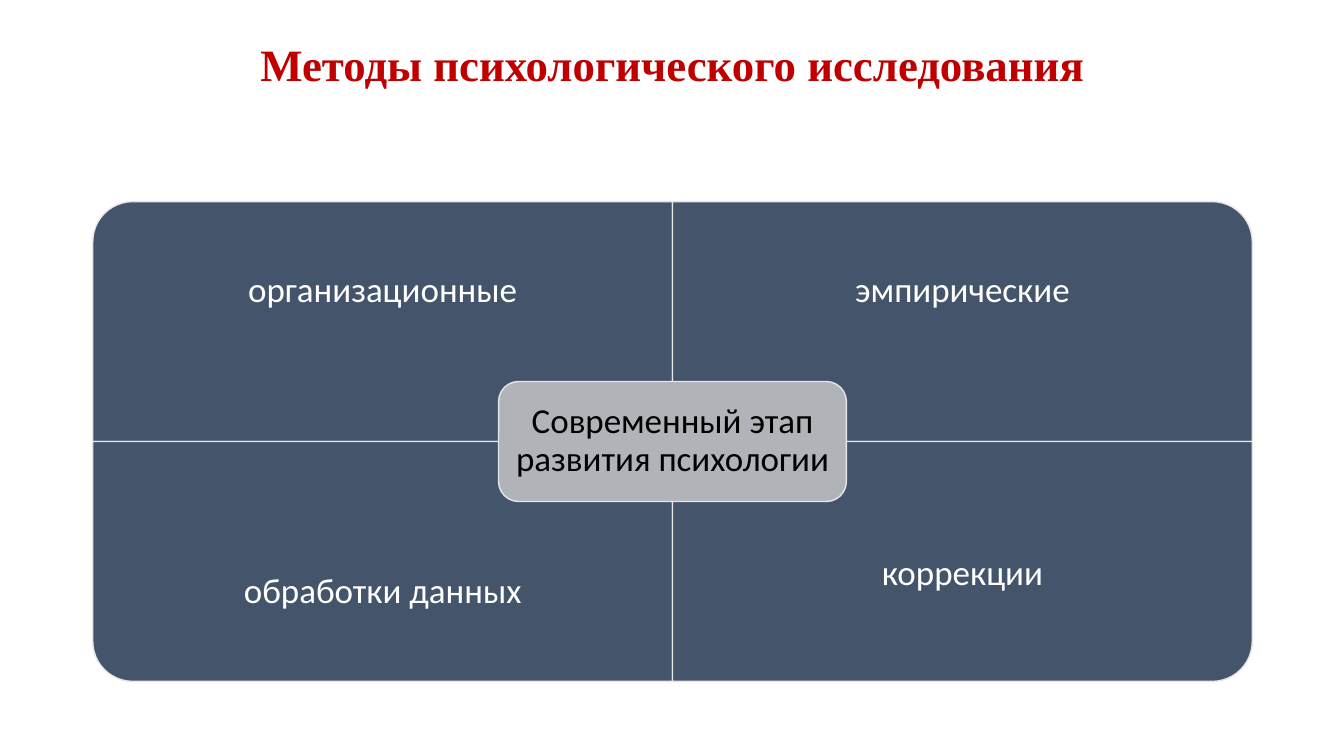
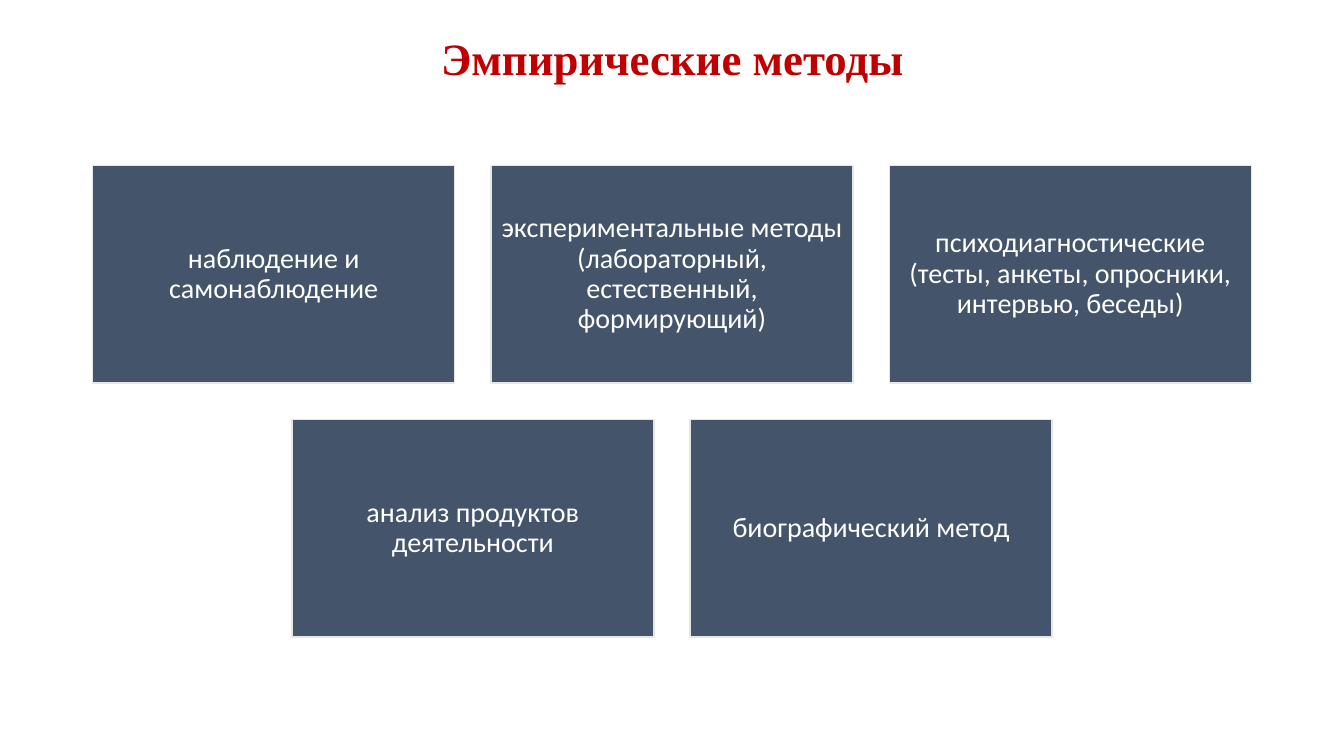
from pptx import Presentation
from pptx.dml.color import RGBColor
from pptx.enum.shapes import MSO_SHAPE
from pptx.enum.text import MSO_ANCHOR, PP_ALIGN
from pptx.util import Emu, Pt

# Shared geometry (100 px to the inch) and style
EMU_PER_PX = 9144
SLIDE_WIDTH, SLIDE_HEIGHT = 1333, 750
MARGIN, CONTENT_WIDTH = 92, 1150
TITLE_TOP = 40

TITLE_COLOR = "C00000"
PANEL_COLOR = "44546A"
CENTER_COLOR = "B0B4B9"
BORDER_COLOR = "E7E6E6"
LIGHT_TEXT, DARK_TEXT = "FFFFFF", "000000"
TITLE_FONT, BODY_FONT = "Times New Roman", "Calibri"


def px(value):
    return Emu(int(value * EMU_PER_PX))


def color(hex_string):
    return RGBColor.from_string(hex_string)


def set_text(shape, text, *, size, font=BODY_FONT, fill=LIGHT_TEXT, bold=False, inset=8):
    """Write one centred paragraph into a shape or text box."""
    frame = shape.text_frame
    frame.word_wrap = True
    frame.vertical_anchor = MSO_ANCHOR.MIDDLE
    frame.margin_left = frame.margin_right = px(inset)
    frame.margin_top = frame.margin_bottom = px(inset)
    paragraph = frame.paragraphs[0]
    paragraph.alignment = PP_ALIGN.CENTER
    paragraph.line_spacing = 0.9
    run = paragraph.add_run()
    run.text = text
    run.font.size = Pt(size)
    run.font.name = font
    run.font.bold = bold
    run.font.color.rgb = color(fill)


def add_label(slide, box, text, **text_format):
    label = slide.shapes.add_textbox(*map(px, box))
    set_text(label, text, **text_format)


def add_panel(slide, kind, box, fill=PANEL_COLOR):
    panel = slide.shapes.add_shape(kind, *map(px, box))
    panel.shadow.inherit = False
    panel.fill.solid()
    panel.fill.fore_color.rgb = color(fill)
    panel.line.color.rgb = color(BORDER_COLOR)
    panel.line.width = Pt(1)
    return panel


def add_titled_slide(presentation, title, title_height):
    slide = presentation.slides.add_slide(presentation.slide_layouts[6])
    add_label(slide, (MARGIN, TITLE_TOP, CONTENT_WIDTH, title_height), title,
              size=32, font=TITLE_FONT, fill=TITLE_COLOR, bold=True, inset=5)
    return slide


def add_quadrant(slide, box, rotation):
    """Fill the box with a panel whose rounded corner is turned outwards."""
    left, top, width, height = box
    if rotation in (90, 270):
        # A quarter turn swaps the sides around the same centre
        box = (left + (width - height) / 2, top + (height - width) / 2, height, width)
    panel = add_panel(slide, MSO_SHAPE.ROUND_1_RECTANGLE, box)
    panel.rotation = rotation


def add_matrix(slide, quadrants, center_text):
    top, width, height = 200, CONTENT_WIDTH // 2, 238
    label_height = height * 3 // 4
    for index, (text, rotation, lift) in enumerate(quadrants):
        row, column = divmod(index, 2)
        left, quadrant_top = MARGIN + column * width, top + row * height
        add_quadrant(slide, (left, quadrant_top, width, height), rotation)
        label_top = quadrant_top + row * (height - label_height) - lift
        add_label(slide, (left, label_top, width, label_height), text, size=25, inset=19)

    # Central topic over the crossing of the quadrants
    center_width, center_height = 345, 119
    center = add_panel(slide, MSO_SHAPE.ROUNDED_RECTANGLE,
                       (MARGIN + width - center_width / 2, top + height - center_height / 2,
                        center_width, center_height), CENTER_COLOR)
    set_text(center, center_text, size=25, fill=DARK_TEXT, inset=10)


def add_card_rows(slide, rows):
    top, width, height, gap = 164, 359, 216, 36
    for row, texts in enumerate(rows):
        row_width = len(texts) * (width + gap) - gap
        row_left = (SLIDE_WIDTH - row_width) / 2
        for column, text in enumerate(texts):
            card = add_panel(slide, MSO_SHAPE.RECTANGLE,
                             (row_left + column * (width + gap),
                              top + row * (height + gap), width, height))
            set_text(card, text, size=20)


def main():
    presentation = Presentation()
    presentation.slide_width = px(SLIDE_WIDTH)
    presentation.slide_height = px(SLIDE_HEIGHT)

    # Matrix of method groups: text, rotation, upward shift of the label
    slide = add_titled_slide(presentation, "Методы психологического исследования", 52)
    add_matrix(slide, [
        ("организационные", 270, 0),
        ("эмпирические", 0, 0),
        ("обработки данных", 180, 0),
        ("коррекции", 90, 17),
    ], "Современный этап развития психологии")

    # Cards of empirical methods
    slide = add_titled_slide(presentation, "Эмпирические методы", 41)
    add_card_rows(slide, [
        ["наблюдение и самонаблюдение",
         "экспериментальные методы (лабораторный, естественный, формирующий)",
         "психодиагностические (тесты, анкеты, опросники, интервью, беседы)"],
        ["анализ продуктов деятельности", "биографический метод"],
    ])

    presentation.save("out.pptx")


if __name__ == "__main__":
    main()
